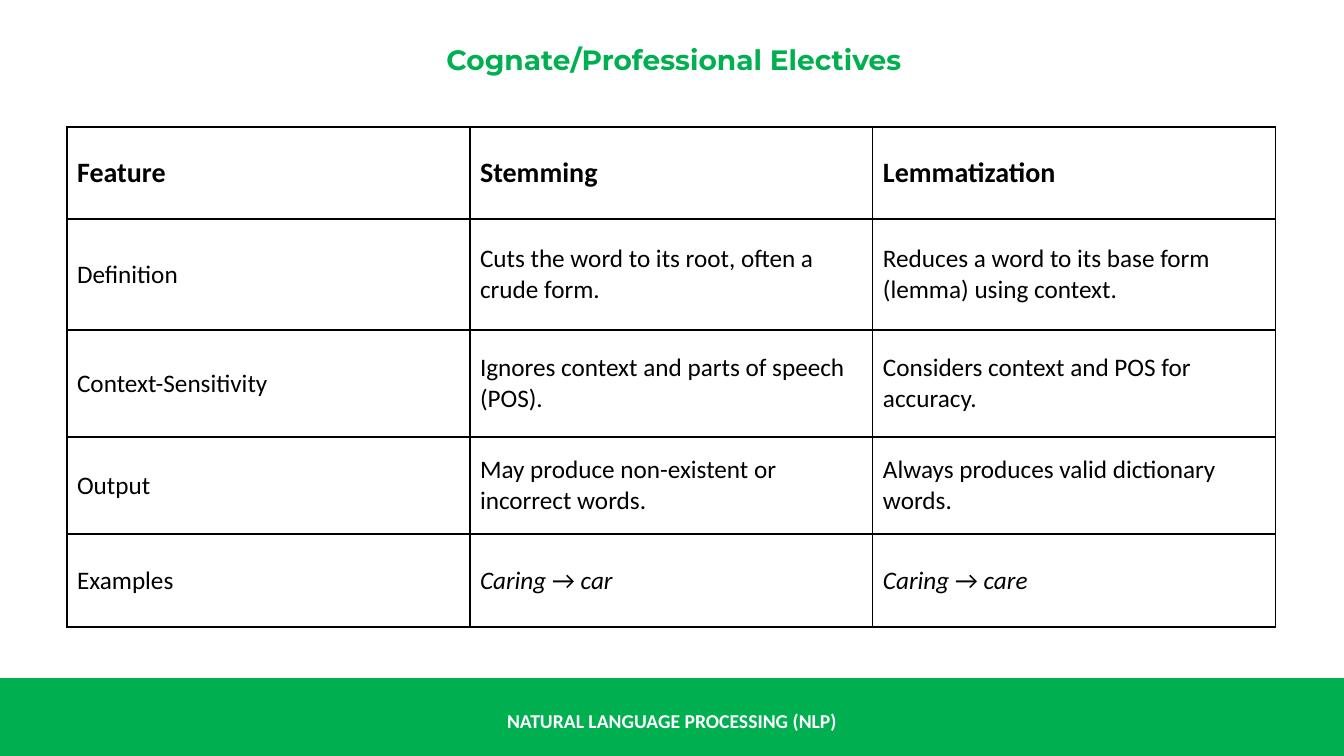
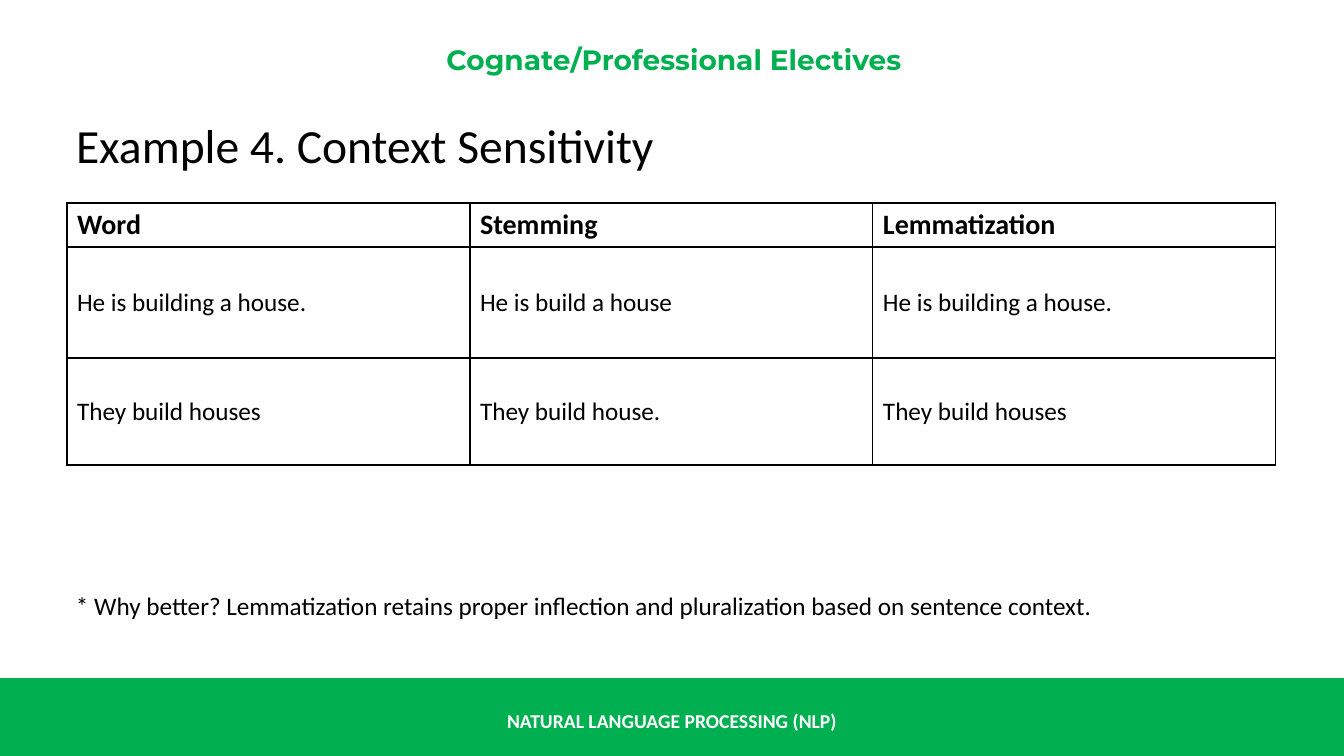
from dataclasses import dataclass

from lxml import etree
from pptx import Presentation
from pptx.dml.color import RGBColor
from pptx.enum.shapes import MSO_SHAPE
from pptx.enum.text import MSO_ANCHOR as Anchor, MSO_AUTO_SIZE as AutoSize, PP_ALIGN as Align
from pptx.oxml.ns import qn
from pptx.util import Emu, Pt


@dataclass(frozen=True)
class Theme:
    green: RGBColor = RGBColor(0x00, 0xB0, 0x50)
    white: RGBColor = RGBColor(0xFF, 0xFF, 0xFF)
    black: RGBColor = RGBColor(0x00, 0x00, 0x00)
    body_font: str = "Calibri"
    header_font: str = "Montserrat"
    footer_size: int = 14
    body_size: int = 18
    header_size: int = 20
    heading_size: int = 34
    border: int = 1


theme = Theme()
SLIDE_W, SLIDE_H = 1344, 756
EMU_PER_PX = 12192000 / SLIDE_W
TABLE_LEFT, COLUMN_W = 67, 403
FOOTER_TOP = 678
HEADER_BOX = (28, 42, 1292, 34)
FOOTER_BOX = (0, 701, SLIDE_W, 40)
HEADING_BOX = (66, 111, 1216, 68)
NOTE_BOX = (66, 585, 1216, 40)


def px(*lengths):
    return [Emu(round(length * EMU_PER_PX)) for length in lengths]


def write(frame, runs, size, color=theme.black, font=theme.body_font,
          bold=False, align=Align.LEFT, anchor=Anchor.MIDDLE):
    """Fill a text frame or cell; runs is a string or (text, italic) pairs."""
    frame.word_wrap = True
    frame.vertical_anchor = anchor
    paragraph = frame.paragraphs[0]
    paragraph.alignment = align
    for text, italic in [(runs, False)] if isinstance(runs, str) else runs:
        run = paragraph.add_run()
        run.text = text
        run.font.name, run.font.size = font, Pt(size)
        run.font.bold, run.font.italic = bold, italic
        run.font.color.rgb = color


# Content
HEADER = "Cognate/Professional Electives"
FOOTER = "NATURAL LANGUAGE PROCESSING (NLP)"
pages = [
    dict(
        heading=None, note=None, table_top=127, row_heights=[92, 111, 107, 97, 93],
        rows=[
            ["Feature", "Stemming", "Lemmatization"],
            ["Definition", "Cuts the word to its root, often a crude form.",
             "Reduces a word to its base form (lemma) using context."],
            ["Context-Sensitivity", "Ignores context and parts of speech (POS).",
             "Considers context and POS for accuracy."],
            ["Output", "May produce non-existent or incorrect words.",
             "Always produces valid dictionary words."],
            ["Examples", [("Caring", True), (" → ", False), ("car", True)],
             [("Caring", True), (" → ", False), ("care", True)]],
        ],
    ),
    dict(
        heading="Example 4. Context Sensitivity",
        note="* Why better? Lemmatization retains proper inflection and "
             "pluralization based on sentence context.",
        table_top=203, row_heights=[44, 111, 107],
        rows=[
            ["Word", "Stemming", "Lemmatization"],
            ["He is building a house.", "He is build a house", "He is building a house."],
            ["They build houses", "They build house.", "They build houses"],
        ],
    ),
]

deck = Presentation()
deck.slide_width, deck.slide_height = px(SLIDE_W, SLIDE_H)
title_only = deck.slide_layouts[5]

for page in pages:
    slide = deck.slides.add_slide(title_only)
    shapes = slide.shapes

    # Footer band
    band = shapes.add_shape(MSO_SHAPE.RECTANGLE, *px(0, FOOTER_TOP, SLIDE_W, SLIDE_H - FOOTER_TOP))
    band.shadow.inherit = False
    band.fill.solid()
    band.fill.fore_color.rgb = theme.green
    band.line.fill.background()
    footer = shapes.add_textbox(*px(*FOOTER_BOX))
    write(footer.text_frame, FOOTER, theme.footer_size, theme.white, bold=True, align=Align.CENTER)

    # Running header; it is the title where the page has no heading of its own
    title = shapes.title
    title.left, title.top, title.width, title.height = px(*(HEADING_BOX if page["heading"] else HEADER_BOX))
    title.text_frame.auto_size = AutoSize.NONE
    header = shapes.add_textbox(*px(*HEADER_BOX)) if page["heading"] else title
    write(header.text_frame, HEADER, theme.header_size, theme.green, theme.header_font,
          bold=True, align=Align.CENTER)

    # Heading and closing note
    if page["heading"]:
        write(title.text_frame, page["heading"], theme.heading_size, anchor=Anchor.TOP)
    if page["note"]:
        note = shapes.add_textbox(*px(*NOTE_BOX))
        write(note.text_frame, page["note"], theme.body_size, anchor=Anchor.TOP)

    # Comparison table
    rows, heights = page["rows"], page["row_heights"]
    columns = len(rows[0])
    table = shapes.add_table(len(rows), columns, *px(
        TABLE_LEFT, page["table_top"], columns * COLUMN_W, sum(heights))).table
    for column in table.columns:
        column.width, = px(COLUMN_W)
    for row_index, (values, height) in enumerate(zip(rows, heights)):
        table.rows[row_index].height, = px(height)
        is_head = row_index == 0
        for column_index, value in enumerate(values):
            cell = table.cell(row_index, column_index)
            cell.fill.solid()
            cell.fill.fore_color.rgb = theme.white
            cell.vertical_anchor = Anchor.MIDDLE
            write(cell.text_frame, value, theme.header_size if is_head else theme.body_size, bold=is_head)
            # The text frame's own anchor does not apply inside a cell; borders come before the fill
            properties = cell._tc.get_or_add_tcPr()
            for order, side in enumerate(("a:lnL", "a:lnR", "a:lnT", "a:lnB")):
                edge = etree.Element(qn(side), w=str(Pt(theme.border)))
                paint = etree.SubElement(edge, qn("a:solidFill"))
                etree.SubElement(paint, qn("a:srgbClr"), val=str(theme.black))
                properties.insert(order, edge)

deck.save("out.pptx")
